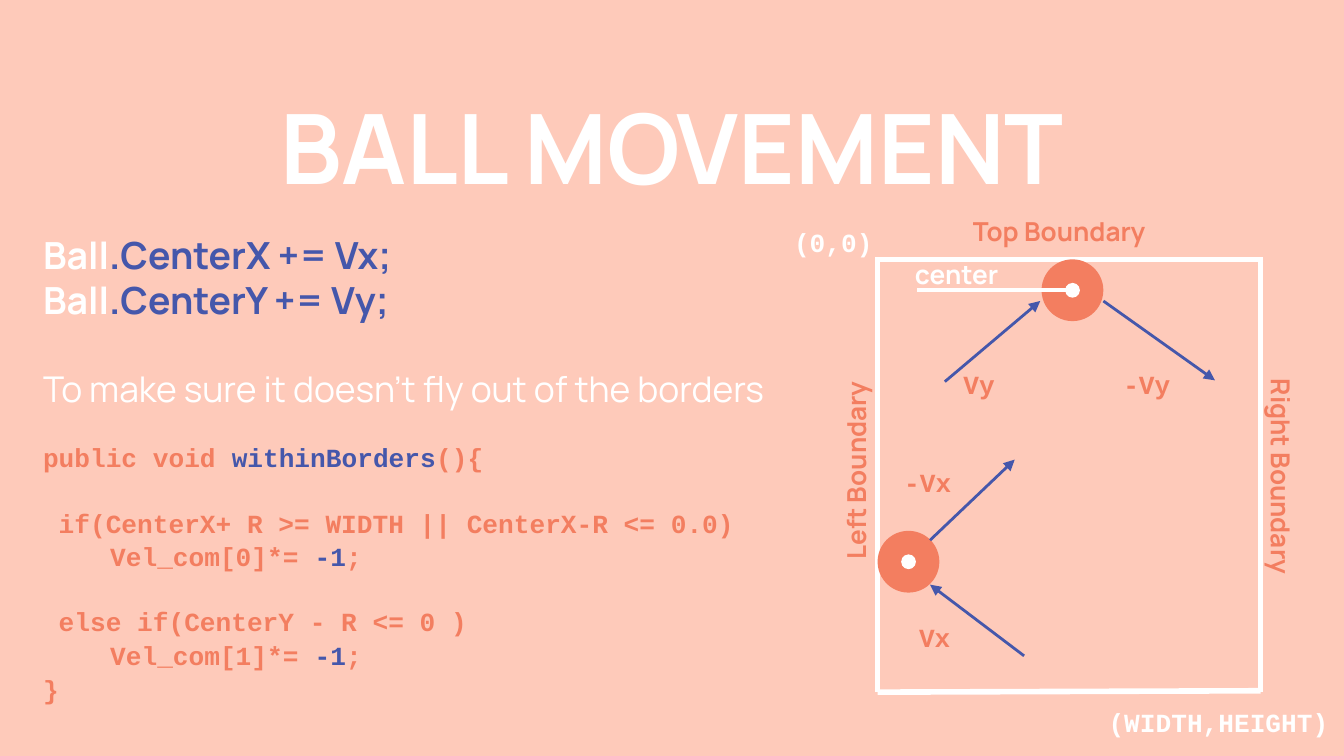
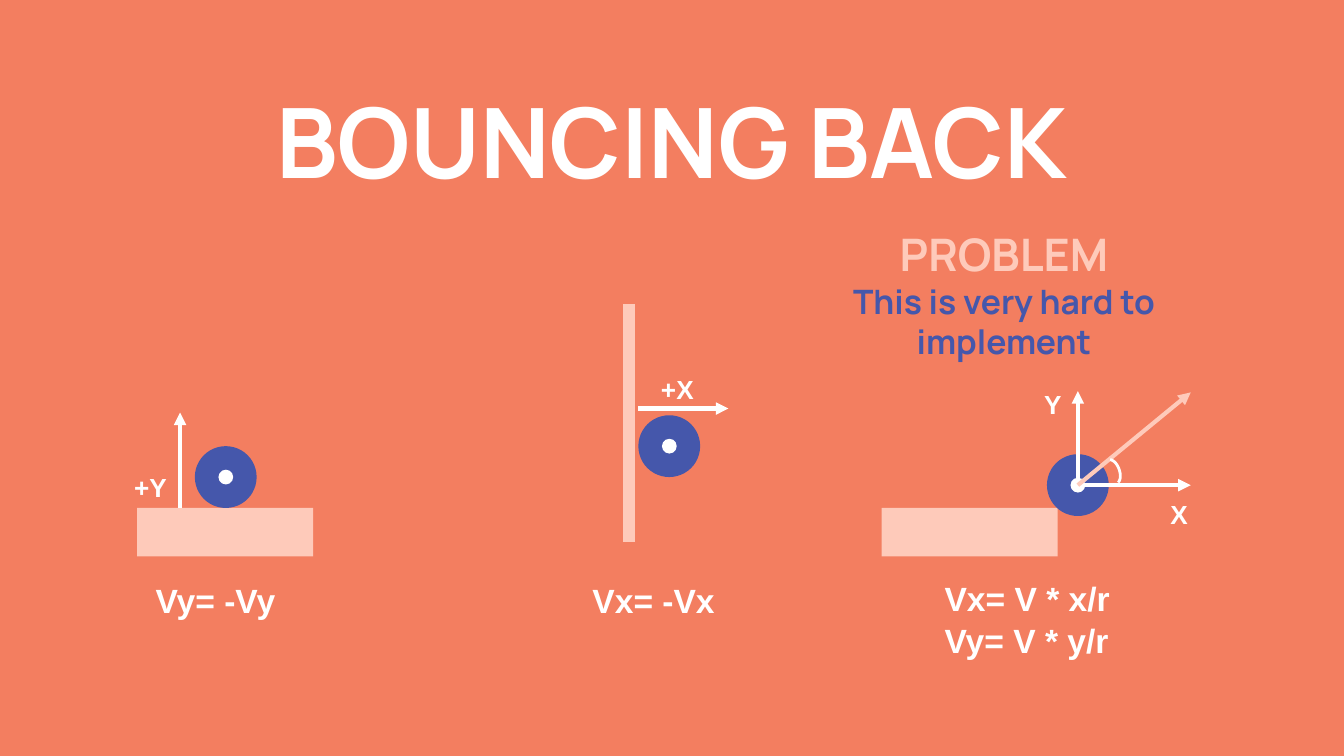
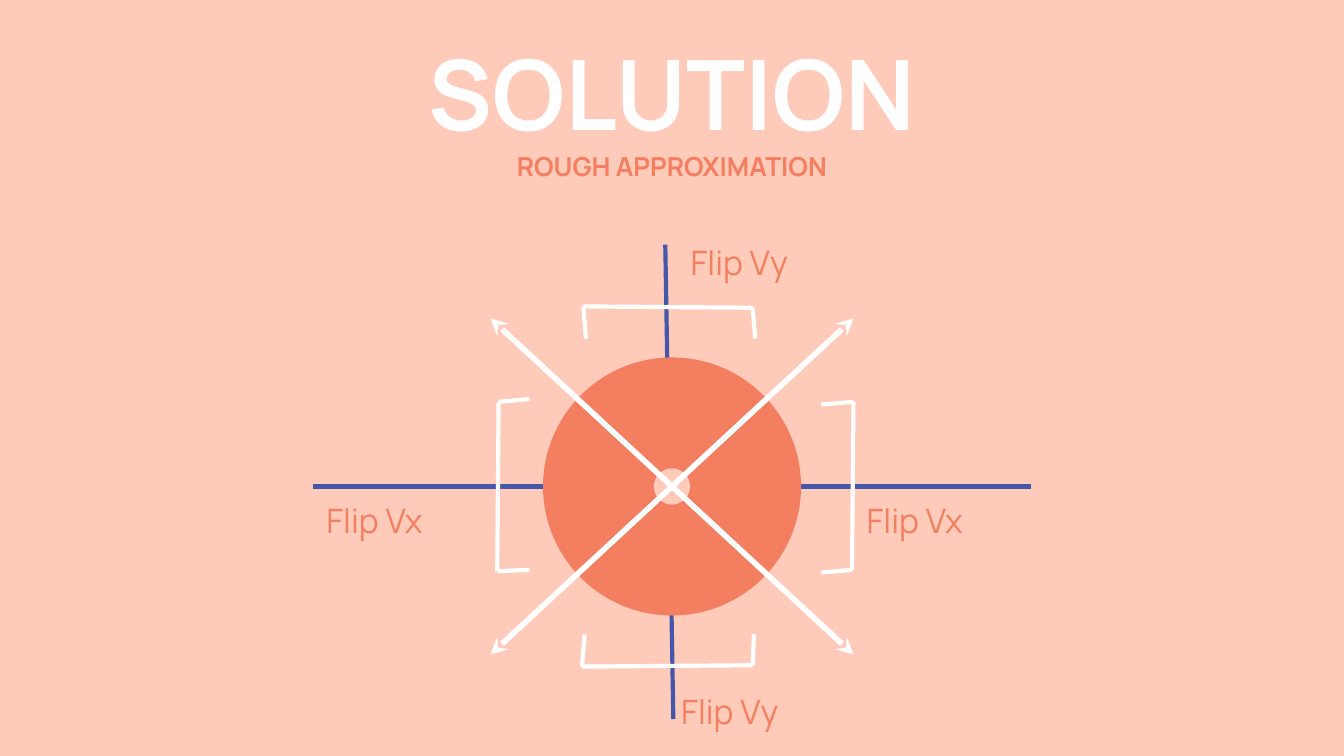
from dataclasses import dataclass

from lxml.etree import SubElement
from pptx import Presentation
from pptx.dml.color import RGBColor
from pptx.enum.shapes import MSO_CONNECTOR, MSO_SHAPE
from pptx.enum.text import MSO_ANCHOR, MSO_AUTO_SIZE, PP_ALIGN
from pptx.oxml.ns import qn
from pptx.util import Emu, Pt

EMU_PER_PX = 9144


@dataclass(frozen=True)
class Theme:
    white: str = "FFFFFF"
    peach: str = "FECABA"
    coral: str = "F37E60"
    blue: str = "4557AB"
    sans: str = "Manrope"
    code: str = "Courier New"
    formula: str = "Arial"
    title: int = 52
    heading: int = 24
    lead: int = 20
    note: int = 19
    large: int = 18
    small: int = 14
    thin: float = 1.5
    medium: float = 2.25
    thick: float = 3
    wall: float = 6


THEME = Theme()


@dataclass(frozen=True)
class Para:
    spans: tuple
    size: int = THEME.small
    font: str = THEME.sans
    bold: bool = True
    align: PP_ALIGN = PP_ALIGN.JUSTIFY
    before: float = 0
    spacing: float = 1.0
    indent: int = 0


def px(length):
    return Emu(round(length * EMU_PER_PX))


def apply(target, values):
    for name, value in values.items():
        setattr(target, name, value)


def curve_point(points, t):
    weights = ((1 - t) ** 3, 3 * t * (1 - t) ** 2, 3 * t * t * (1 - t), t ** 3)
    return tuple(px(sum(w * p[axis] for w, p in zip(weights, points))) for axis in (0, 1))


class Deck:
    def __init__(self, theme):
        self.theme = theme
        self.deck = Presentation()
        apply(self.deck, {"slide_width": px(1000), "slide_height": px(562.5)})
        self.slide = None

    def page(self, layout_name, background):
        layout = self.deck.slide_layouts.get_by_name(layout_name)
        self.slide = self.deck.slides.add_slide(layout)
        self.paint(self.slide.background.fill, background)

    def paint(self, fill, colour):
        fill.solid()
        fill.fore_color.rgb = RGBColor.from_string(colour)

    def fill_text(self, box, place, paras, anchor=MSO_ANCHOR.TOP, rotation=0):
        apply(box, dict(zip(("left", "top", "width", "height"), map(px, place))))
        box.rotation = rotation
        frame = box.text_frame
        margins = ("margin_left", "margin_top", "margin_right", "margin_bottom")
        apply(frame, dict.fromkeys(margins, px(10)))
        apply(frame, {"word_wrap": True, "auto_size": MSO_AUTO_SIZE.NONE,
                      "vertical_anchor": anchor})
        for index, content in enumerate(paras):
            para = frame.add_paragraph() if index else frame.paragraphs[0]
            apply(para, {"alignment": content.align, "line_spacing": content.spacing,
                         "space_before": Pt(content.before), "space_after": Pt(0)})
            properties = para._p.get_or_add_pPr()
            properties.set("marL", "0")
            properties.set("indent", str(px(content.indent)))
            SubElement(properties, qn("a:buNone"))
            for text, colour in content.spans:
                span = para.add_run()
                span.text = text
                apply(span.font, {"name": content.font, "size": Pt(content.size),
                                  "bold": content.bold})
                span.font.color.rgb = RGBColor.from_string(colour)

    def title(self, text, top, height, *more):
        heading = Para(((text, self.theme.white),), self.theme.title, align=PP_ALIGN.CENTER)
        self.fill_text(self.slide.shapes.title, (34, top, 932, height), (heading, *more),
                       MSO_ANCHOR.BOTTOM)

    def body(self, index, place, paras):
        self.fill_text(self.slide.placeholders[index], place, paras)

    def text(self, place, paras, **options):
        box = self.slide.shapes.add_textbox(0, 0, 0, 0)
        self.fill_text(box, place, paras, **options)

    def label(self, place, text, colour, anchor=MSO_ANCHOR.TOP, rotation=0, **style):
        self.text(place, (Para(((text, colour),), **style),), anchor=anchor, rotation=rotation)

    def shape(self, kind, place, colour, parent=None):
        shape = (parent or self.slide).shapes.add_shape(kind, *map(px, place))
        shape.shadow.inherit = False
        self.paint(shape.fill, colour)
        shape.line.fill.background()

    def ball(self, x, y, colour, dot_colour, size=46, dot=11):
        group = self.slide.shapes.add_group_shape()
        for side, fill in ((size, colour), (dot, dot_colour)):
            place = (x - side / 2, y - side / 2, side, side)
            self.shape(MSO_SHAPE.OVAL, place, fill, group)

    def line(self, start, end, colour, width, arrow=None):
        line = self.slide.shapes.add_connector(
            MSO_CONNECTOR.STRAIGHT, *map(px, (*start, *end)))
        line.line.width = Pt(width)
        self.paint(line.line.fill, colour)
        if arrow:
            SubElement(line.line._get_or_add_ln(), qn("a:tailEnd"), type=arrow)
        SubElement(line._element.spPr, qn("a:effectLst"))

    def bracket(self, points):
        for start, end in zip(points, points[1:]):
            self.line(start, end, self.theme.white, self.theme.medium)

    def curve(self, points, colour, width, steps=16):
        dots = [curve_point(points, step / steps) for step in range(steps + 1)]
        builder = self.slide.shapes.build_freeform(*dots[0], scale=1.0)
        builder.add_line_segments(dots[1:], close=False)
        arc = builder.convert_to_shape()
        arc.shadow.inherit = False
        arc.fill.background()
        arc.line.width = Pt(width)
        self.paint(arc.line.fill, colour)


def ball_movement(deck):
    theme = deck.theme
    white, coral, blue = theme.white, theme.coral, theme.blue
    deck.page("Two Content", theme.peach)
    deck.title("BALL MOVEMENT", 31, 131)
    steps = [Para((("Ball", white), (f".Center{axis} += V{axis.lower()};", blue)), theme.lead)
             for axis in "XY"]
    goal = Para((("To make sure it doesn’t fly out of the borders", white),),
                theme.note, bold=False, before=24)
    deck.body(1, (22, 163, 579, 159), (*steps, goal))

    def code(*spans, **style):
        return Para(spans, font=theme.code, spacing=1.07, **style)

    def flip(index):
        return code((f"Vel_com[{index}]*= ", coral), ("-1", blue), (";", coral), indent=50)

    deck.body(2, (22, 317, 583, 219), (
        code(("public void ", coral), ("withinBorders", blue), ("(){", coral)),
        code((" if(CenterX+ R >= WIDTH || CenterX-R <= 0.0)", coral), before=17),
        flip(0),
        code((" else if(CenterY - R <= 0 )", coral), before=17),
        flip(1),
        code(("}", coral)),
    ))

    for start, end in (((940, 193), (651, 193)), ((653, 515), (653, 192)),
                       ((938, 515), (938, 192)), ((938, 514), (653, 515))):
        deck.line(start, end, white, theme.thick)
    for side, place, rotation in (("Top", (714, 150, 166, 31), 0),
                                  ("Left", (551, 331, 159, 31), 270),
                                  ("Right", (873, 343, 173, 31), 90)):
        deck.label(place, f"{side} Boundary", coral, rotation=rotation)
    for center in ((676, 418), (798, 216)):
        deck.ball(*center, coral, white)
    deck.line((795, 216), (682, 216), white, theme.medium)
    deck.label((671, 182, 84, 31), "center", white)
    for start, tip in (((692, 402), (755, 342)), ((762, 488), (692, 435)),
                       ((821, 224), (904, 283)), ((703, 284), (774, 224))):
        deck.line(start, tip, blue, theme.thin, "triangle")
    for text, left, top, width, colour in (
            ("Vx", 674, 451, 63, coral), ("-Vx", 663, 336, 74, coral),
            ("Vy", 707, 263, 63, coral), ("-Vy", 826, 263, 74, coral),
            ("(0,0)", 581, 157, 90, white), ("(WIDTH,HEIGHT)", 815, 514, 197, white)):
        deck.label((left, top, width, 46), text, colour, MSO_ANCHOR.MIDDLE, font=theme.code)


def bouncing_back(deck):
    theme = deck.theme
    white, peach, blue = theme.white, theme.peach, theme.blue
    deck.page("Title Only", theme.coral)
    deck.title("BOUNCING BACK", 39, 118)
    for left in (102, 656):
        deck.shape(MSO_SHAPE.RECTANGLE, (left, 378, 131, 36), peach)
    deck.line((468, 403), (468, 226), peach, theme.wall)
    for center in ((168, 355), (498, 332), (802, 361)):
        deck.ball(*center, blue, white)
    for start, tip, colour in (((134, 378), (134, 307), white), ((475, 304), (542, 304), white),
                               ((802, 361), (802, 291), white), ((802, 361), (886, 361), white),
                               ((802, 361), (886, 292), peach)):
        deck.line(start, tip, colour, theme.medium, "triangle")
    deck.curve(((826, 342), (832, 343), (836, 355), (832, 359)), white, theme.thin)
    for text, left, top in (("+Y", 90, 341), ("+X", 482, 268), ("Y", 767, 279), ("X", 861, 361)):
        deck.label((left, top, 70, 31), text, white, font=theme.formula)
    for place, formulas in (((106, 420, 124, 31), ("Vy= -Vy",)),
                            ((431, 420, 135, 31), ("Vx= -Vx",)),
                            ((693, 419, 202, 104), ("Vx= V * x/r", "Vy= V * y/r"))):
        deck.text(place, [Para(((formula, white),), theme.large, theme.formula, spacing=1.04)
                          for formula in formulas])
    deck.text((623, 159, 248, 131), (
        Para((("PROBLEM", peach),), theme.heading, align=PP_ALIGN.CENTER),
        Para((("This is very hard to implement", blue),), theme.large, align=PP_ALIGN.CENTER),
    ))


def solution(deck):
    theme = deck.theme
    deck.page("Title Only", theme.peach)
    deck.title("SOLUTION", 14, 131,
               Para((("ROUGH APPROXIMATION", theme.coral),), align=PP_ALIGN.CENTER))
    for start, end in (((495, 182), (501, 535)), ((233, 362), (767, 362))):
        deck.line(start, end, theme.blue, theme.medium)
    x, y = center = (500, 362)
    deck.ball(x, y, theme.coral, theme.peach, 192, 27)
    for right in (135, -135):
        for down in (-125, 125):
            deck.line(center, (x + right, y + down), theme.white, theme.thick, "stealth")
    for points in (((611, 301), (635, 299), (634, 424), (611, 426)),
                   ((394, 297), (371, 299), (370, 425), (394, 424)),
                   ((436, 252), (434, 228), (560, 229), (562, 252)),
                   ((435, 472), (433, 496), (560, 495), (561, 472))):
        deck.bracket(points)
    for axis, place in (("x", (635, 362, 124, 67)), ("x", (233, 362, 149, 67)),
                        ("y", (497, 504, 127, 43)), ("y", (504, 170, 127, 43))):
        deck.label(place, f"Flip V{axis}", theme.coral, size=theme.large, bold=False)


def main():
    deck = Deck(THEME)
    for build in (ball_movement, bouncing_back, solution):
        build(deck)
    deck.deck.save("out.pptx")


if __name__ == "__main__":
    main()
